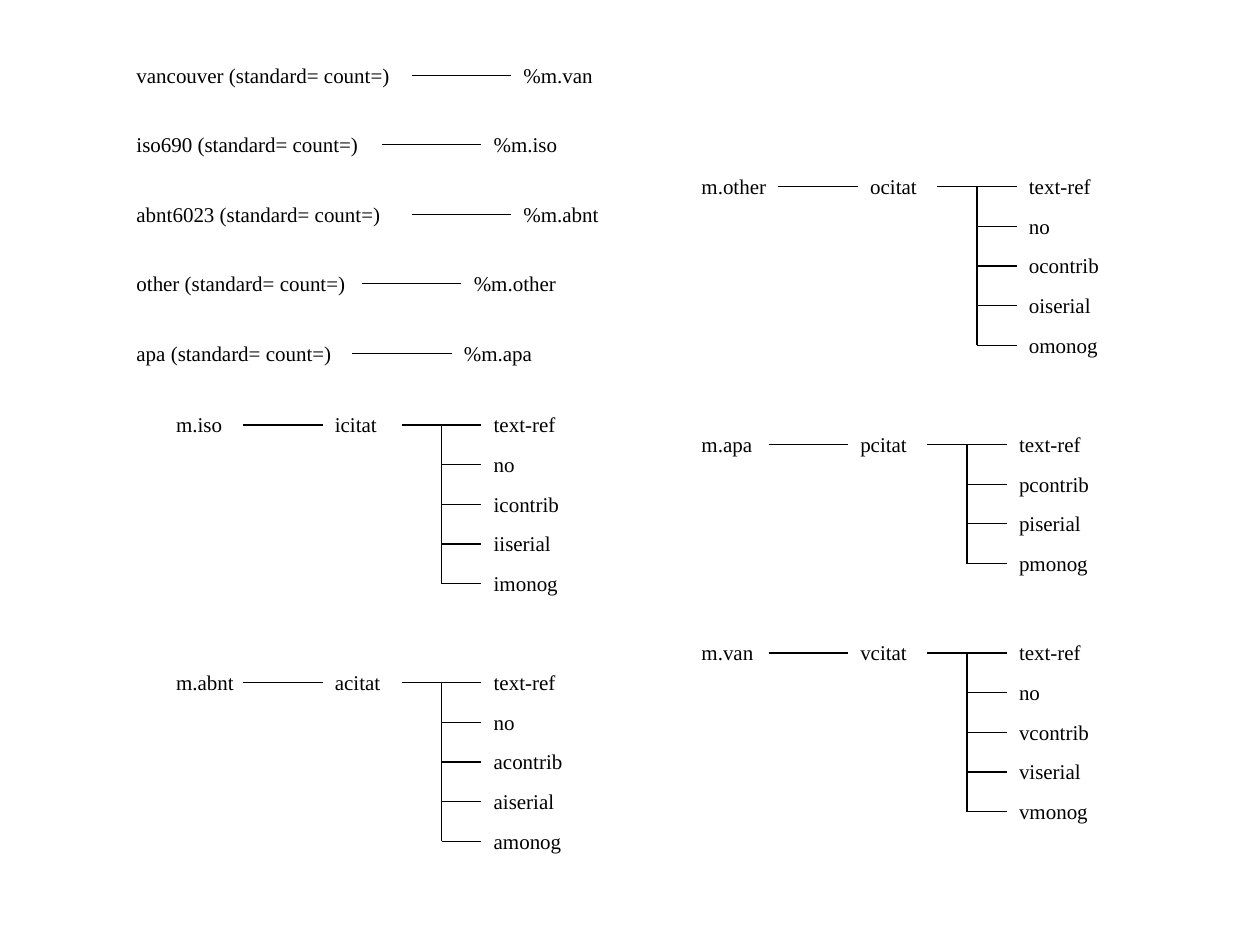
from dataclasses import dataclass
from typing import Optional

from lxml.etree import SubElement
from pptx import Presentation
from pptx.dml.color import RGBColor
from pptx.enum.shapes import MSO_CONNECTOR
from pptx.enum.text import MSO_ANCHOR, MSO_AUTO_SIZE
from pptx.oxml.ns import qn
from pptx.shapes.autoshape import Shape
from pptx.shapes.connector import Connector
from pptx.slide import Slide
from pptx.util import Pt

COLORS = {"text": "000000", "line": "000000"}
FONT = {"name": "Times New Roman", "size": Pt(12)}
FRAME = {
    "word_wrap": True,
    "auto_size": MSO_AUTO_SIZE.NONE,
    "vertical_anchor": MSO_ANCHOR.TOP,
    "margin_left": Pt(7.2),
    "margin_right": Pt(7.2),
    "margin_top": Pt(3.6),
    "margin_bottom": Pt(3.6),
}
UNIT = 22.68
BOX_H = 22
RIGHT, LEFT = 3, 1


@dataclass
class Entry:
    text: str
    target: str
    width: float
    link: float


@dataclass
class Tree:
    x: float
    y: float
    root: str
    node: str
    leaves: tuple[str, ...]
    width: float = 2
    link: float = 2


ENTRY_X, ENTRY_Y, ENTRY_STEP = 70.9, 43.1, 1.75 * UNIT
ENTRIES = [
    Entry("vancouver (standard= count=)", "%m.van", 7.25, 7.25),
    Entry("iso690 (standard= count=)", "%m.iso", 6.5, 6.5),
    Entry("abnt6023 (standard= count=)", "%m.abnt", 7, 7.25),
    Entry("other (standard= count=)", "%m.other", 6.25, 6),
    Entry("apa (standard= count=)", "%m.apa", 5.75, 5.75),
]
TREES = [
    Tree(93.6, 242.8, "m.iso", "icitat",
         ("text-ref", "no", "icontrib", "iiserial", "imonog")),
    Tree(93.6, 390.1, "m.abnt", "acitat",
         ("text-ref", "no", "acontrib", "aiserial", "amonog"), 2.25),
    Tree(393.8, 106.6, "m.other", "ocitat",
         ("text-ref", "no", "ocontrib", "oiserial", "omonog"), 2.5, 2.25),
    Tree(393.8, 254, "m.apa", "pcitat",
         ("text-ref", "pcontrib", "piserial", "pmonog")),
    Tree(393.8, 373.1, "m.van", "vcitat",
         ("text-ref", "no", "vcontrib", "viserial", "vmonog")),
]


def apply(target: object, values: dict) -> None:
    for name, value in values.items():
        setattr(target, name, value)


def add_label(s: Slide, text: str, x: float, y: float, units: float) -> Shape:
    sp = s.shapes.add_textbox(Pt(x), Pt(y - BOX_H / 2), Pt(units * UNIT), Pt(BOX_H))
    tf = sp.text_frame
    apply(tf, FRAME)
    r = tf.paragraphs[0].add_run()
    r.text = text
    apply(r.font, FONT)
    r.font.color.rgb = RGBColor.from_string(COLORS["text"])
    return sp


def add_line(s: Slide, x1: float, y1: float, x2: float, y2: float) -> Connector:
    cn = s.shapes.add_connector(MSO_CONNECTOR.STRAIGHT, Pt(x1), Pt(y1), Pt(x2), Pt(y2))
    cn.line.width = Pt(0.75)
    cn.line.color.rgb = RGBColor.from_string(COLORS["line"])
    SubElement(cn._element.spPr, qn("a:effectLst"))
    return cn


def add_link(s: Slide, x: float, y: float, units: float, end: Shape,
             start: Optional[Shape] = None) -> None:
    cn = add_line(s, x, y, x + units * UNIT, y)
    if start is not None and abs(start.left + start.width - Pt(x)) < Pt(1):
        cn.begin_connect(start, RIGHT)
    cn.end_connect(end, LEFT)


def draw_entry(s: Slide, entry: Entry, y: float) -> None:
    link_x = ENTRY_X + entry.link * UNIT
    source = add_label(s, entry.text, ENTRY_X, y, entry.width)
    target = add_label(s, entry.target, link_x + 2.5 * UNIT, y, 3)
    add_link(s, link_x, y, 2.5, target, source)


def draw_tree(s: Slide, tree: Tree) -> None:
    link_x = tree.x + tree.link * UNIT
    node_x = link_x + 2 * UNIT
    leaf_x = node_x + 4 * UNIT
    trunk_x = leaf_x - UNIT
    root = add_label(s, tree.root, tree.x, tree.y, tree.width)
    node = add_label(s, tree.node, node_x, tree.y, 2)
    add_link(s, link_x, tree.y, 2, node, root)
    for i, text in enumerate(tree.leaves):
        y = tree.y + i * UNIT
        leaf = add_label(s, text, leaf_x, y, 2.5)
        if i == 0:
            add_link(s, node_x + 2 * UNIT, y, 2, leaf, node)
        else:
            add_link(s, trunk_x, y, 1, leaf)
    add_line(s, trunk_x, tree.y, trunk_x, tree.y + (len(tree.leaves) - 1) * UNIT)


def main() -> None:
    prs = Presentation()
    prs.slide_width, prs.slide_height = Pt(720), Pt(540)
    s = prs.slides.add_slide(prs.slide_layouts[6])
    for tree in TREES:
        draw_tree(s, tree)
    for i, entry in enumerate(ENTRIES):
        draw_entry(s, entry, ENTRY_Y + i * ENTRY_STEP)
    prs.save("out.pptx")


if __name__ == "__main__":
    main()
